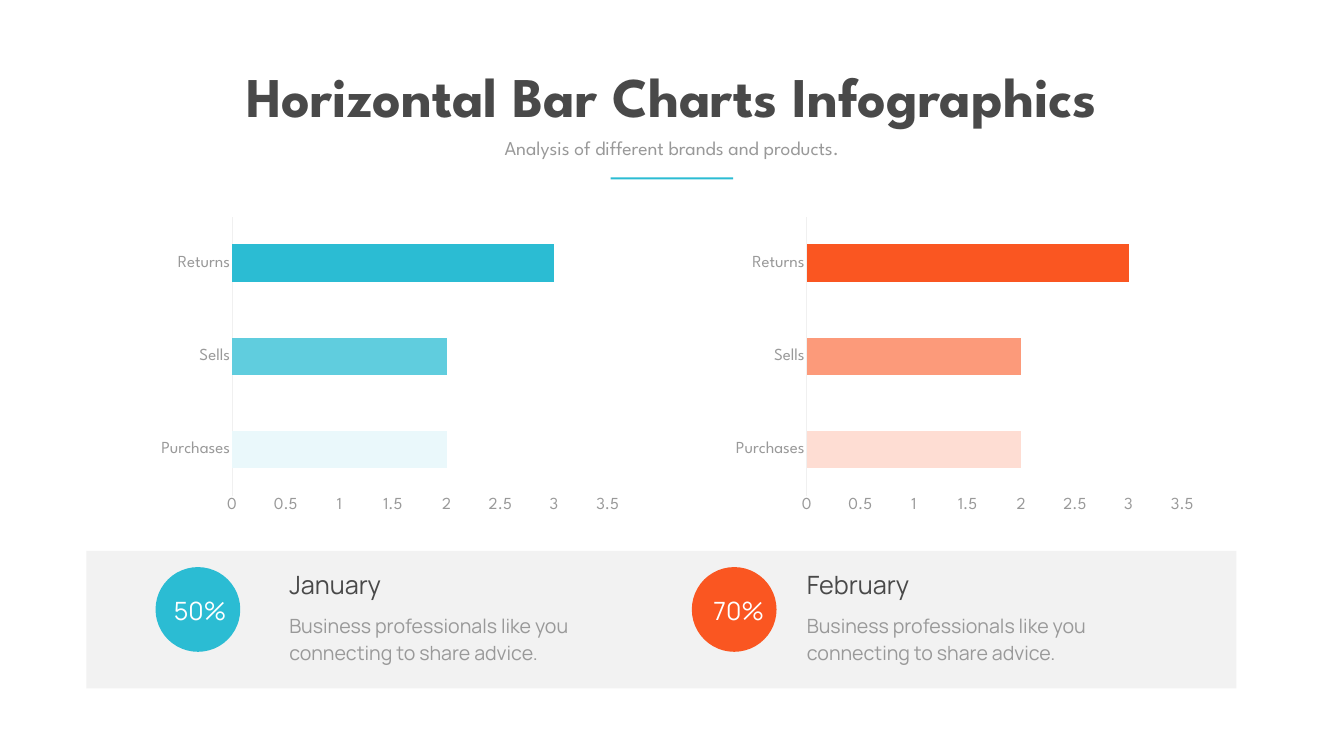
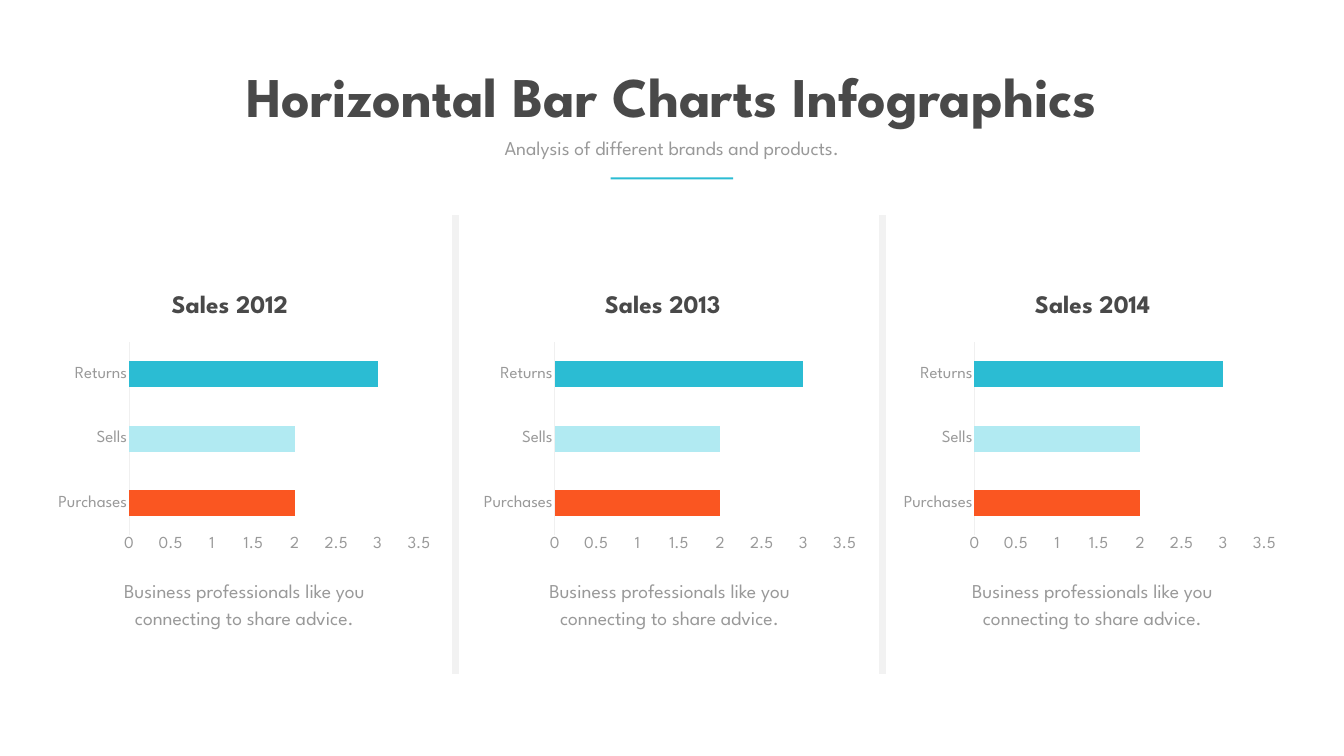
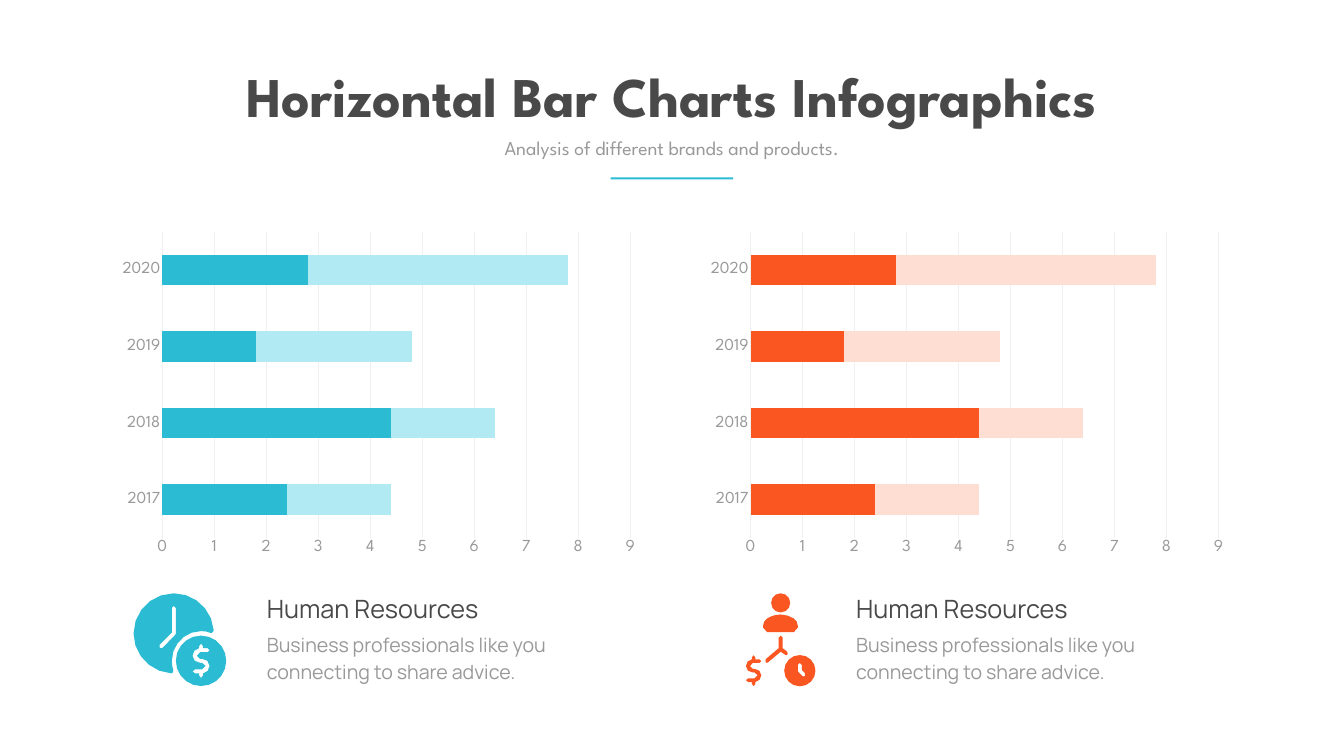
from dataclasses import dataclass
from math import ceil, cos, dist, pi, sin
from typing import NamedTuple

from lxml.etree import SubElement
from pptx import Presentation
from pptx.chart.data import CategoryChartData
from pptx.dml.color import RGBColor
from pptx.enum.chart import XL_CHART_TYPE, XL_TICK_MARK
from pptx.enum.shapes import MSO_CONNECTOR, MSO_SHAPE
from pptx.enum.text import MSO_AUTO_SIZE, PP_ALIGN
from pptx.oxml.ns import qn
from pptx.slide import Slide
from pptx.util import Cm, Pt

# Shared style
TEAL, MID_TEAL, LIGHT_TEAL, ICE = "2BBCD3", "60CDDE", "B1EAF2", "EAF8FB"
ORANGE, MID_ORANGE, PEACH = "FA5621", "FC9A7A", "FEDDD3"
DARK, GREY, PANEL, HAIRLINE, WHITE = "494949", "999999", "F2F2F2", "F0F0F0", "FFFFFF"
SPARTAN, MANROPE = "League Spartan", "Manrope"
ADVICE = "Business professionals like you connecting to share advice."

MONTH_VALUES = {"Purchases": 2, "Sells": 2, "Returns": 3}
YEARS = ["2017", "2018", "2019", "2020"]
YEAR_VALUES = [[2.4, 4.4, 1.8, 2.8], [2, 2, 3, 5]]

Point = tuple[float, float]
Contour = list[Point]


class Box(NamedTuple):
    """Left, top, width and height in centimetres."""
    left: float
    top: float
    width: float
    height: float

    def lengths(self) -> list[Cm]:
        return [Cm(value) for value in self]


@dataclass
class Month:
    name: str
    percent: str
    shades: list[str]
    chart_left: float
    circle_left: float
    percent_box: Box
    text_left: float


@dataclass
class SalesYear:
    heading: str
    chart_left: float
    heading_left: float
    advice_left: float


@dataclass
class Department:
    shades: list[str]
    chart_left: float
    icon_left: float
    text_left: float
    icon: list[list[Contour]]


def rgb(color: str) -> RGBColor:
    return RGBColor.from_string(color)


def set_font(font, size: float, name: str, color: str, bold: bool = False) -> None:
    font.size, font.name, font.bold = Pt(size), name, bold
    font.color.rgb = rgb(color)


def add_text(slide: Slide, text: str, box: Box, *, size: float = 28, font: str = MANROPE,
             color: str = GREY, bold: bool = False, centred: bool = False,
             spacing: float | None = None, wrap: bool = True) -> None:
    frame = slide.shapes.add_textbox(*box.lengths()).text_frame
    frame.word_wrap = wrap
    frame.auto_size = MSO_AUTO_SIZE.SHAPE_TO_FIT_TEXT
    paragraph = frame.paragraphs[0]
    if centred:
        paragraph.alignment = PP_ALIGN.CENTER
    if spacing:
        paragraph.line_spacing = Pt(spacing)
    run = paragraph.add_run()
    run.text = text
    set_font(run.font, size, font, color, bold)


def add_advice(slide: Slide, box: Box, **style) -> None:
    add_text(slide, ADVICE, box, spacing=38.6, **style)


def paint(shape, color: str) -> None:
    shape.shadow.inherit = False
    shape.fill.solid()
    shape.fill.fore_color.rgb = rgb(color)
    shape.line.fill.background()


def add_filled(slide: Slide, preset: MSO_SHAPE, box: Box, color: str) -> None:
    paint(slide.shapes.add_shape(preset, *box.lengths()), color)


def add_divider(slide: Slide, x: float) -> None:
    divider = slide.shapes.add_connector(
        MSO_CONNECTOR.STRAIGHT, Cm(x), Cm(10.85), Cm(x), Cm(33.99))
    divider.line.color.rgb = rgb(PANEL)
    divider.line.width = Pt(10)
    SubElement(divider._element.spPr, qn("a:effectLst"))


def add_header(slide: Slide) -> None:
    add_text(slide, "Horizontal Bar Charts Infographics", Box(10.36, 2.97, 46.99, 3.68),
             size=80, font=SPARTAN, color=DARK, bold=True, centred=True, wrap=False)
    add_text(slide, "Analysis of different brands and products.",
             Box(21.72, 6.73, 24.28, 1.45), font=SPARTAN, centred=True)
    add_filled(slide, MSO_SHAPE.RECTANGLE, Box(30.78, 8.94, 6.17, 0.1), TEAL)


def add_bars(slide: Slide, box: Box, categories: list[str], rows: list[list[float]],
             series_colors: list[str], *, point_colors: list[str] | None = None,
             grid: bool = False) -> None:
    data = CategoryChartData()
    data.categories = categories
    for number, row in enumerate(rows, 1):
        data.add_series(f"Series {number}", row)
    chart = slide.shapes.add_chart(
        XL_CHART_TYPE.BAR_STACKED, *box.lengths(), data).chart
    chart.has_title = chart.has_legend = False
    set_font(chart.font, 20, MANROPE, GREY)

    for axis in (chart.category_axis, chart.value_axis):
        axis.major_tick_mark = axis.minor_tick_mark = XL_TICK_MARK.NONE
        axis.has_major_gridlines = False
        set_font(axis.tick_labels.font, 24, SPARTAN, GREY)
    chart.value_axis.format.line.fill.background()
    hairlines = [chart.category_axis.format.line]
    if grid:
        chart.value_axis.has_major_gridlines = True
        hairlines.append(chart.value_axis.major_gridlines.format.line)
    for line in hairlines:
        line.color.rgb = rgb(HAIRLINE)
        line.width = Pt(0.75)

    plot = chart.plots[0]
    plot.vary_by_categories = False
    plot.gap_width, plot.overlap = 150, 100
    for series, color in zip(plot.series, series_colors):
        series.invert_if_negative = False
        series.format.fill.solid()
        series.format.fill.fore_color.rgb = rgb(color)
    for index, color in enumerate(point_colors or []):
        fill = plot.series[0].points[index].format.fill
        fill.solid()
        fill.fore_color.rgb = rgb(color)


def add_trade_bars(slide: Slide, box: Box, shades: list[str]) -> None:
    add_bars(slide, box, list(MONTH_VALUES), [list(MONTH_VALUES.values())], [ORANGE],
             point_colors=shades)


# Icon outlines, in units of 0.0254 cm
def circle(x: float, y: float, radius: float, steps: int) -> Contour:
    angles = [2 * pi * step / steps for step in range(steps)]
    return [(x + radius * cos(a), y + radius * sin(a)) for a in angles]


def bezier(a: Point, b: Point, c: Point, d: Point) -> Contour:
    """Flatten a curve, with more points the further it reaches."""
    steps = min(5, ceil(dist(a, d) / 14)) or 1
    points = []
    for step in range(1, steps + 1):
        t = step / steps
        weights = ((1 - t) ** 3, 3 * t * (1 - t) ** 2, 3 * t * t * (1 - t), t ** 3)
        points.append(tuple(sum(w * p[i] for w, p in zip(weights, (a, b, c, d)))
                            for i in (0, 1)))
    return points


def outline(path: str, x: float = 0, y: float = 0, scale: float = 1) -> Contour:
    """Turn "x y" starts, L lines and C curves into points."""
    contour: Contour = []
    for part in path.replace("L", "|L").replace("C", "|C").split("|"):
        numbers = [float(n) for n in part.strip("LC ").split()]
        points = [(x + scale * px, y + scale * py)
                  for px, py in zip(numbers[::2], numbers[1::2])]
        contour += bezier(contour[-1], *points) if part[0] == "C" else points
    return contour


DOLLAR = (
    "15 30 L19 30 C27 30 34 36 34 44 C34 52 28 58 21 59 L21 63 C21 66 20 68 17 68 "
    "C15 68 13 66 13 63 L13 59 L5 59 C2 59 0 57 0 55 C0 53 2 51 5 51 L19 51 "
    "C23 51 26 48 26 44 C26 41 23 38 19 38 L15 38 C7 38 0 32 0 24 C0 16 6 10 13 9 "
    "L13 5 C13 2 15 0 17 0 C20 0 21 2 21 5 L21 9 L30 9 C32 9 34 11 34 13 "
    "C34 15 32 17 30 17 L15 17 C12 17 9 20 9 24 C9 27 12 30 15 30")
CLOCK_FACE = (
    "76 134 C76 102 102 75 134 75 C141 75 147 76 154 79 L155 79 C157 79 159 77 159 75 "
    "L159 73 C156 32 121 0 80 0 C36 0 0 36 0 80 C0 121 33 156 75 159 "
    "C76 159 77 158 78 157 C79 156 79 155 79 153 C77 147 76 141 76 134")
CLOCK_HANDS = (
    "58 108 C57 108 56 109 55 109 C54 109 52 108 52 108 C50 106 50 103 52 102 "
    "L76 78 L76 29 C76 27 77 25 80 25 C82 25 84 27 84 29 L84 80 C84 81 83 82 83 82")
SHOULDERS = (
    "96 77 C101 77 104 73 104 68 L104 65 C104 59 101 53 96 50 C90 46 80 42 70 42 "
    "C59 42 49 46 43 50 C38 53 35 59 35 65 L35 68 C35 73 39 77 43 77")
BRANCHES = (
    "81 123 C82 123 84 122 84 121 C86 119 85 117 83 116 L74 109 L74 88 "
    "C74 86 72 84 70 84 C68 84 66 86 66 88 L66 109 L40 131 C39 133 39 135 40 137 "
    "C41 138 42 138 43 138 C44 138 45 138 45 137 L70 116 L79 122 C80 123 80 123 81 123")
SMALL_HANDS = (
    "118 164 C118 165 117 165 116 165 C115 165 114 165 113 164 L105 156 "
    "C105 155 104 154 104 153 L104 142 C104 140 106 138 108 138 "
    "C110 138 112 140 112 142 L112 152 L118 158 C120 160 120 162 118 164")

TIME_IS_MONEY = [
    [outline(CLOCK_FACE), outline(CLOCK_HANDS)],
    [circle(134, 134, 50, 20), outline(DOLLAR, 117, 100)],
]
STAFF_COSTS = [
    [circle(70, 19, 19, 12)],
    [outline(SHOULDERS)],
    [outline(BRANCHES)],
    [outline(DOLLAR, 1, 123, 0.9)],
    [circle(108, 153.5, 31, 16), outline(SMALL_HANDS)],
]


def add_icon(slide: Slide, icon: list[list[Contour]], left: float, top: float,
             color: str) -> None:
    unit = Cm(0.0254)
    for contours in icon:
        scaled = [[(x * unit, y * unit) for x, y in contour] for contour in contours]
        builder = slide.shapes.build_freeform(*scaled[0][0])
        for index, contour in enumerate(scaled):
            if index:
                builder.move_to(*contour[0])
            builder.add_line_segments(contour[1:], close=True)
        paint(builder.convert_to_shape(Cm(left), Cm(top)), color)


# Slide contents
MONTHS = [
    Month("January", "50%", [ICE, MID_TEAL, TEAL], 7.65, 7.84,
          Box(8.51, 29.86, 4.7, 1.85), 14.33),
    Month("February", "70%", [PEACH, MID_ORANGE, ORANGE], 36.61, 34.87,
          Box(35.71, 29.86, 3.4, 1.85), 40.42),
]
SALES_YEARS = [
    SalesYear("Sales 2012", 2.55, 5.84, 4.3),
    SalesYear("Sales 2013", 24, 27.66, 25.73),
    SalesYear("Sales 2014", 45.16, 49.33, 47.04),
]
DEPARTMENTS = [
    Department([TEAL, LIGHT_TEAL], 5.64, 6.73, 13.2, TIME_IS_MONEY),
    Department([ORANGE, PEACH], 35.29, 37.57, 42.9, STAFF_COSTS),
]


def draw_months(slide: Slide) -> None:
    add_filled(slide, MSO_SHAPE.RECTANGLE, Box(4.36, 27.76, 57.96, 6.93), PANEL)
    for month in MONTHS:
        add_trade_bars(slide, Box(month.chart_left, 10.6, 24.03, 15.6), month.shades)
    for month in MONTHS:
        add_advice(slide, Box(month.text_left, 30.66, 17.35, 3))
        add_text(slide, month.name, Box(month.text_left, 28.58, 12.14, 1.8),
                 size=36, color=DARK)
    for month in MONTHS:
        add_filled(slide, MSO_SHAPE.OVAL, Box(month.circle_left, 28.58, 4.27, 4.27),
                   month.shades[-1])
        add_text(slide, month.percent, month.percent_box, size=36, color=WHITE)
    add_header(slide)


def draw_sales_years(slide: Slide) -> None:
    add_header(slide)
    for year in SALES_YEARS:
        add_trade_bars(slide, Box(year.chart_left, 17.02, 19.53, 11.05),
                       [ORANGE, LIGHT_TEAL, TEAL])
    for year in SALES_YEARS:
        add_text(slide, year.heading, Box(year.heading_left, 14.4, 11.48, 1.8),
                 size=36, font=SPARTAN, color=DARK, bold=True, centred=True)
        add_advice(slide, Box(year.advice_left, 28.88, 16.03, 3),
                   font=SPARTAN, centred=True)
    for x in (22.96, 44.5):
        add_divider(slide, x)


def draw_departments(slide: Slide) -> None:
    add_header(slide)
    for department in DEPARTMENTS:
        add_bars(slide, Box(department.chart_left, 11.33, 26.9, 17), YEARS,
                 YEAR_VALUES, department.shades, grid=True)
    for department in DEPARTMENTS:
        add_icon(slide, department.icon, department.icon_left, 29.9,
                 department.shades[0])
    for department in DEPARTMENTS:
        add_advice(slide, Box(department.text_left, 31.6, 16.18, 3))
        add_text(slide, "Human Resources", Box(department.text_left, 29.79, 12.14, 1.8),
                 size=36, color=DARK)


def main() -> None:
    deck = Presentation()
    deck.slide_width, deck.slide_height = Cm(67.74), Cm(38.1)
    for draw in (draw_months, draw_sales_years, draw_departments):
        draw(deck.slides.add_slide(deck.slide_layouts[6]))
    deck.save("out.pptx")


if __name__ == "__main__":
    main()
